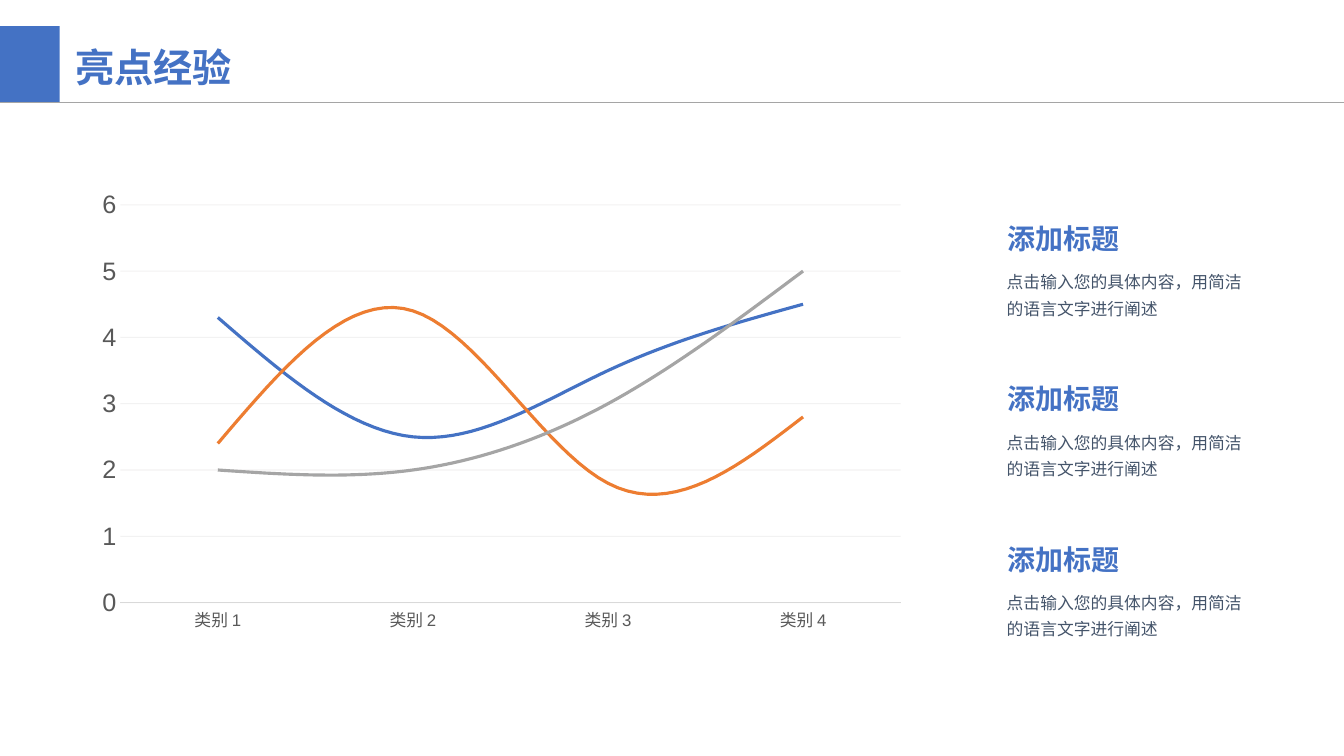
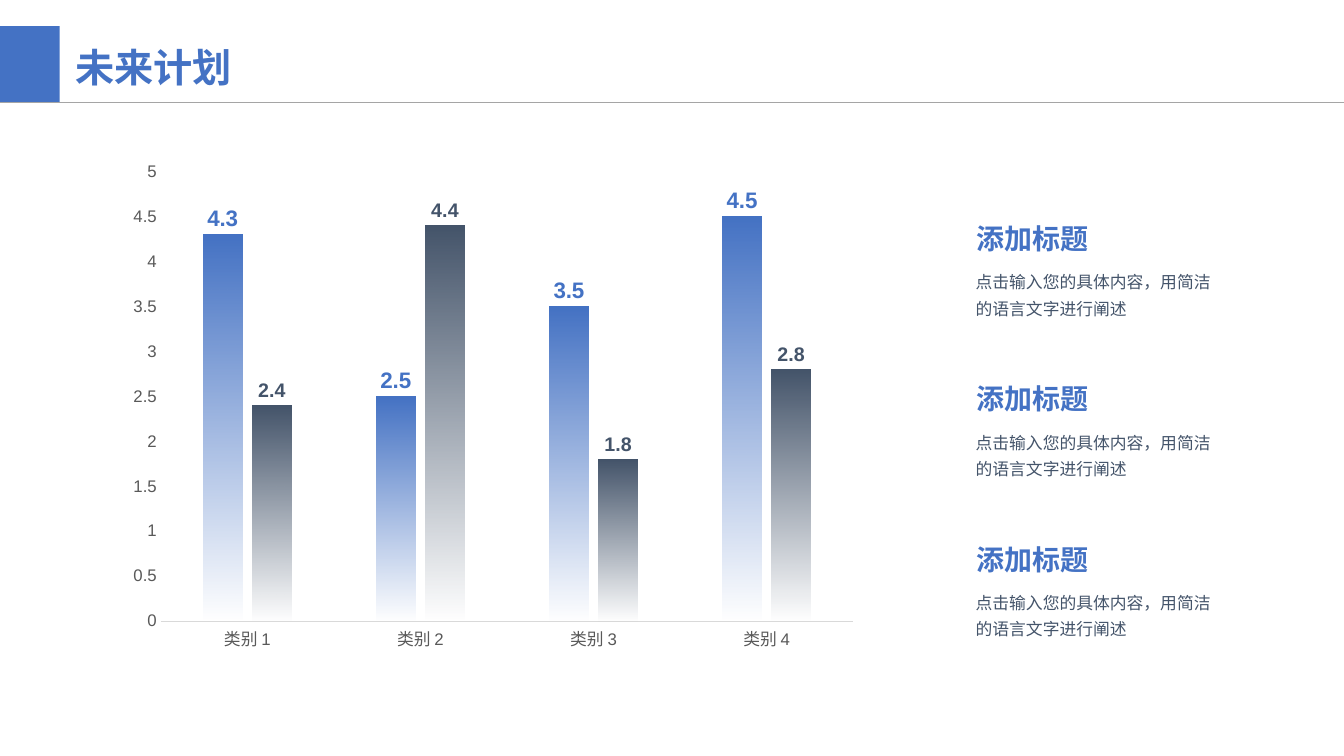
"""Build two report slides: a smooth line chart and a gradient column chart, each with side notes."""
from pptx import Presentation
from pptx.chart.data import CategoryChartData
from pptx.dml.color import RGBColor
from pptx.enum.chart import XL_CHART_TYPE, XL_LABEL_POSITION, XL_TICK_MARK
from pptx.enum.shapes import MSO_CONNECTOR, MSO_SHAPE
from pptx.enum.text import PP_ALIGN
from pptx.oxml.ns import qn
from pptx.util import Pt
from lxml import etree

LINE, COLUMN = XL_CHART_TYPE.LINE, XL_CHART_TYPE.COLUMN_CLUSTERED
NO_TICK = XL_TICK_MARK.NONE
OUT_END = XL_LABEL_POSITION.OUTSIDE_END
STRAIGHT, RECT = MSO_CONNECTOR.STRAIGHT, MSO_SHAPE.RECTANGLE
LEFT, CENTER = PP_ALIGN.LEFT, PP_ALIGN.CENTER

FONT = "Arial"
HEX = {"blue": "4472C4", "slate": "44546A", "orange": "ED7D31", "gray": "A5A5A5",
       "axis": "D9D9D9", "grid": "E7E6E6", "label": "595959"}
RGB = {name: RGBColor.from_string(code) for name, code in HEX.items()}
CATS = ["类别 1", "类别 2", "类别 3", "类别 4"]
ROWS = [("Series 1", (4.3, 2.5, 3.5, 4.5)),
        ("Series 2", (2.4, 4.4, 1.8, 2.8)),
        ("Series 3", (2, 2, 3, 5))]
PAGES = [
    {"title": "亮点经验", "left": 712, "kind": LINE, "box": (61.2, 129.6, 594, 328.3),
     "rows": ROWS, "top": 6, "step": 1, "size": 18},
    {"title": "未来计划", "left": 689.8, "kind": COLUMN, "box": (83.5, 112.3, 540, 389.5),
     "rows": ROWS[:2], "top": 5, "step": 0.5, "size": 12},
]


def write(slide, box, text, size, color, bold=False, wrap=True, align=LEFT, space=None):
    frame = slide.shapes.add_textbox(*map(Pt, box)).text_frame
    frame.word_wrap = wrap
    para = frame.paragraphs[0]
    para.alignment = align
    para.line_spacing = space
    run = para.add_run()
    run.text = text
    run.font.name, run.font.size, run.font.bold = FONT, Pt(size), bold
    run.font.color.rgb = RGB[color]


def fade(node, share):
    tint = list(node.iter(qn("a:srgbClr")))[-1]
    etree.SubElement(tint, qn("a:alpha")).set("val", str(share * 1000))


deck = Presentation()
deck.slide_width, deck.slide_height = Pt(960), Pt(540)
charts = []

for page in PAGES:
    slide = deck.slides.add_slide(deck.slide_layouts[6])
    rule = slide.shapes.add_connector(STRAIGHT, Pt(0), Pt(72.9), Pt(960), Pt(72.9))
    rule.line.color.rgb, rule.line.width = RGB["gray"], Pt(0.5)
    etree.SubElement(rule.line._get_or_add_ln().getparent(), qn("a:effectLst"))
    block = slide.shapes.add_shape(RECT, Pt(0), Pt(18.7), Pt(42.7), Pt(54))
    block.shadow.inherit = False
    block.fill.solid()
    block.fill.fore_color.rgb = RGB["blue"]
    block.line.fill.background()
    write(slide, (46.8, 27.4, 375.8, 41), page["title"], 28, "blue", bold=True)

    for row in range(3):
        top = 154.8 + row * 114.5
        write(slide, (page["left"], top, 95, 31.7), "添加标题", 20, "blue",
              bold=True, wrap=False, align=CENTER)
        write(slide, (page["left"], top + 31.7, 186.5, 43.2),
              "点击输入您的具体内容，用简洁的语言文字进行阐述", 12, "slate", space=1.3)

    data = CategoryChartData()
    data.categories = CATS
    for name, vals in page["rows"]:
        data.add_series(name, vals)
    chart = slide.shapes.add_chart(page["kind"], *map(Pt, page["box"]), data).chart
    chart.has_title = chart.has_legend = False
    chart.font.name, chart.font.size = FONT, Pt(10)
    for axis, size in ((chart.category_axis, 12), (chart.value_axis, page["size"])):
        axis.major_tick_mark = axis.minor_tick_mark = NO_TICK
        font = axis.tick_labels.font
        font.name, font.size, font.color.rgb = FONT, Pt(size), RGB["label"]
    base = chart.category_axis.format.line
    base.color.rgb, base.width = RGB["axis"], Pt(0.75)
    scale = chart.value_axis
    scale.format.line.fill.background()
    scale.minimum_scale, scale.maximum_scale = 0, page["top"]
    scale.major_unit = page["step"]
    scale.has_major_gridlines = page["kind"] == LINE
    chart.plots[0].vary_by_categories = False
    charts.append(chart)

curve, bars = charts

grid = curve.value_axis.major_gridlines.format.line
grid.color.rgb, grid.width = RGB["grid"], Pt(0.75)
fade(curve.value_axis._element.find(qn("c:majorGridlines")), 49)
for series, color in zip(curve.plots[0].series, ("blue", "orange", "gray")):
    series.smooth = True
    series.format.line.color.rgb = RGB[color]
    series.format.line.width = Pt(2.25)

plot = bars.plots[0]
plot.gap_width, plot.overlap = 219, -27
for series, color, size in zip(plot.series, ("blue", "slate"), (16, 14)):
    fill = series.format.fill
    fill.gradient()
    fill.gradient_angle = 270
    for stop in fill.gradient_stops:
        stop.color.rgb = RGB[color]
    fade(series._element, 0)
    labels = series.data_labels
    labels.show_value, labels.position = True, OUT_END
    font = labels.font
    font.name, font.size, font.bold = FONT, Pt(size), True
    font.color.rgb = RGB[color]

area = bars._chartSpace.chart.plotArea
for old in area.findall(qn("c:layout")):
    area.remove(old)
frame = etree.Element(qn("c:layout"))
area.insert(0, frame)
manual = etree.SubElement(frame, qn("c:manualLayout"))
for tag, val in (("layoutTarget", "inner"), ("xMode", "edge"), ("yMode", "edge"),
                 ("x", "0.058"), ("y", "0.026"), ("w", "0.916"), ("h", "0.825")):
    etree.SubElement(manual, qn("c:" + tag)).set("val", val)

deck.save("out.pptx")
